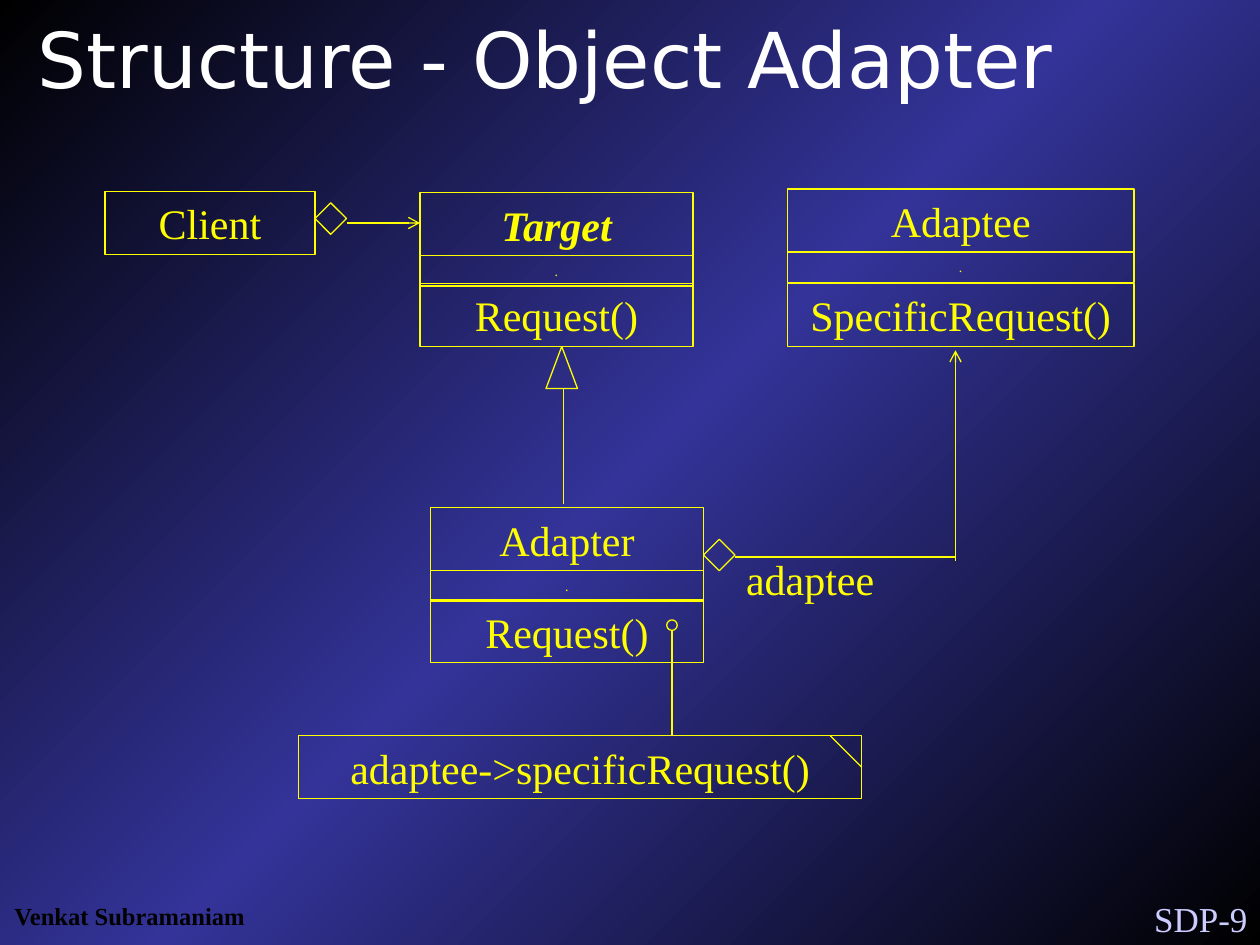
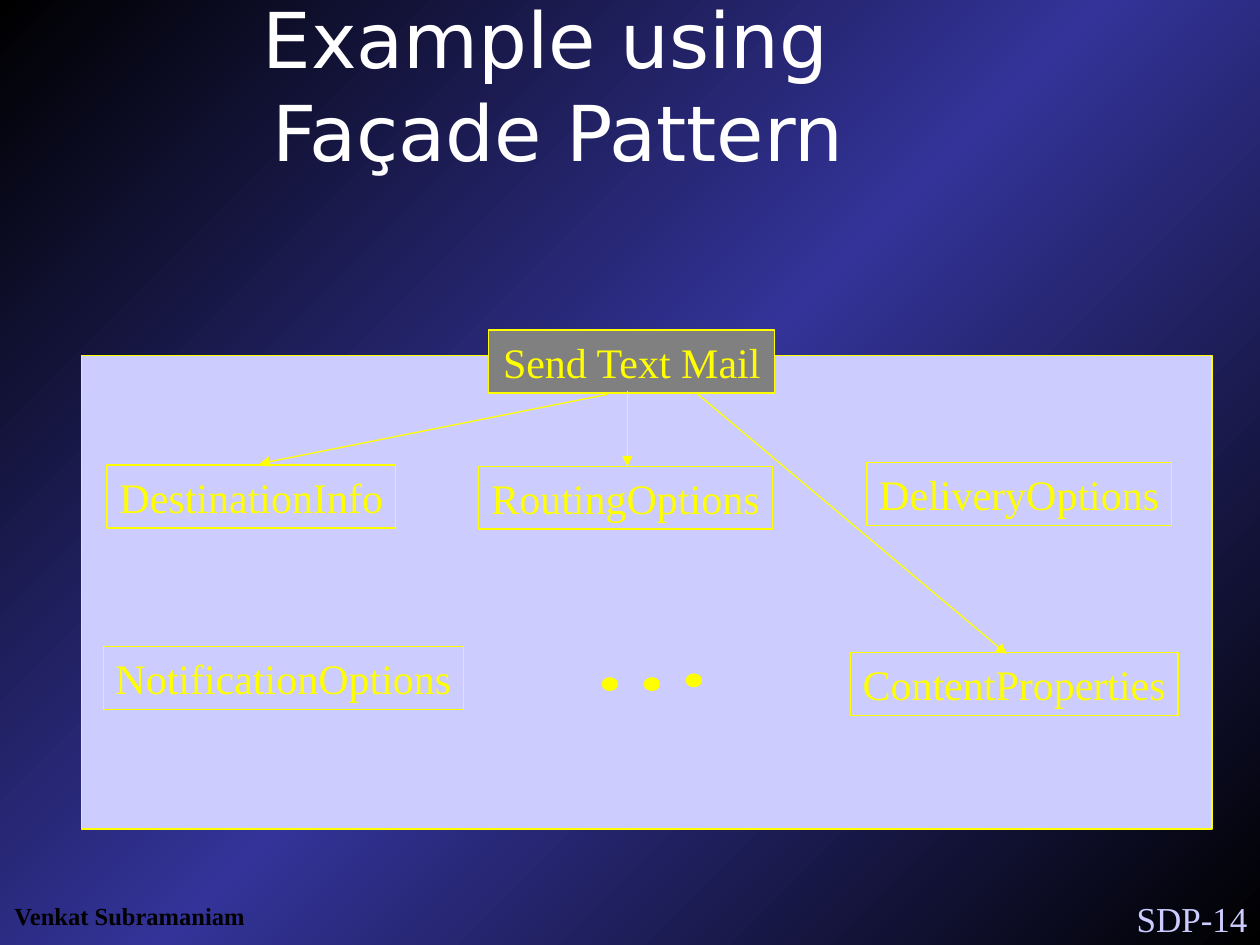
"""Build two design-pattern slides: an object adapter diagram and a facade example."""
from collections import namedtuple
from copy import deepcopy

from lxml import etree
from pptx import Presentation
from pptx.dml.color import RGBColor
from pptx.enum.shapes import MSO_CONNECTOR, MSO_SHAPE
from pptx.enum.text import MSO_ANCHOR, PP_ALIGN
from pptx.oxml.ns import qn
from pptx.util import Inches, Pt

RECTANGLE, DIAMOND = MSO_SHAPE.RECTANGLE, MSO_SHAPE.DIAMOND
TRIANGLE, OVAL = MSO_SHAPE.ISOSCELES_TRIANGLE, MSO_SHAPE.OVAL
STRAIGHT = MSO_CONNECTOR.STRAIGHT
TOP, MIDDLE = MSO_ANCHOR.TOP, MSO_ANCHOR.MIDDLE
CENTER, RIGHT = PP_ALIGN.CENTER, PP_ALIGN.RIGHT

COLORS = {
    "black": "000000",
    "blue": "333399",
    "title": "FFFFFF",
    "pale": "CCCCFF",
    "accent": "FFFF00",
    "facade": "808080",
}
BODY_FONT, TITLE_FONT = "Times New Roman", "DejaVu Sans"
COLUMNS, ROWS, CELL = 120, 90, Inches(1) / 12
LINE_WIDTH = Pt(0.74)
ROW_HEIGHT, SPACER_HEIGHT = 6, 2.88


class Box(namedtuple("Box", "left top width height")):
    """A rectangle measured in grid columns and rows."""

    def inner(self, left, top, width, height):
        """Return a box placed relative to this one."""
        return Box(self.left + left, self.top + top, width, height)

    def lengths(self):
        """Return the four measures as slide lengths."""
        return [grid(value) for value in self]


def grid(cells):
    """Convert grid cells to a slide length."""
    return round(cells * CELL)


def color(name):
    """Return a named colour."""
    return RGBColor.from_string(COLORS[name])


def write(shape, text, size=24, font=BODY_FONT, ink="accent", align=CENTER,
          anchor=MIDDLE, wrap=True, bold=False, italic=False):
    """Put formatted text into a shape."""
    frame = shape.text_frame
    frame.text = text
    frame.word_wrap = wrap
    frame.vertical_anchor = anchor
    for paragraph in frame.paragraphs:
        paragraph.alignment = align
        for run in paragraph.runs:
            run.font.name = font
            run.font.size = Pt(size)
            run.font.bold = bold
            run.font.italic = italic
            run.font.color.rgb = color(ink)


def add_label(slide, box, text, **style):
    """Add a text box."""
    write(slide.shapes.add_textbox(*box.lengths()), text, **style)


def add_figure(slide, kind, box, fill=None):
    """Add an outlined preset shape, hollow unless a fill is named."""
    shape = slide.shapes.add_shape(kind, *box.lengths())
    shape.shadow.inherit = False
    shape.line.color.rgb = color("accent")
    shape.line.width = LINE_WIDTH
    if fill:
        shape.fill.solid()
        shape.fill.fore_color.rgb = color(fill)
    else:
        shape.fill.background()
    return shape


def add_text_figure(slide, box, text, fill=None, **style):
    """Add an outlined rectangle with text."""
    write(add_figure(slide, RECTANGLE, box, fill), text, **style)


def add_line(slide, box, start, end, head=None):
    """Draw a line between two points given relative to a box."""
    points = [grid(value) for point in (start, end)
              for value in (box.left + point[0], box.top + point[1])]
    connector = slide.shapes.add_connector(STRAIGHT, *points)
    connector.line.color.rgb = color("accent")
    connector.line.width = LINE_WIDTH
    properties = connector.element.spPr
    if head:
        etree.SubElement(properties.find(qn("a:ln")), qn("a:tailEnd"), type=head)
    etree.SubElement(properties, qn("a:effectLst"))


def paint_background(slide):
    """Fill the slide with a diagonal black, blue, black gradient."""
    fill = slide.background.fill
    fill.gradient()
    fill.gradient_angle = 135
    stop_list = slide.element.find(".//" + qn("a:gsLst"))
    stop_list.insert(1, deepcopy(stop_list[0]))
    for stop, position, name in zip(fill.gradient_stops, (0, 0.5, 1),
                                    ("black", "blue", "black")):
        stop.position = position
        stop.color.rgb = color(name)


def add_page(presentation, title, title_box, number):
    """Add a slide with the shared background, footers and title style."""
    slide = presentation.slides.add_slide(presentation.slide_layouts[6])
    paint_background(slide)
    add_label(slide, Box(103, 84.84, 17, 5.28), f"SDP-{number}", size=20,
              ink="pale", align=RIGHT, anchor=TOP)
    add_label(slide, Box(0.12, 85.2, 24.48, 4.08), "Venkat Subramaniam", size=14,
              ink="black", anchor=TOP, wrap=False, bold=True)
    add_label(slide, title_box, title, size=44, font=TITLE_FONT, ink="title")
    return slide


def add_class(slide, box, name, operation, **name_style):
    """Draw a class as name, attribute and operation compartments."""
    add_text_figure(slide, box.inner(0, 0, box.width, ROW_HEIGHT), name, **name_style)
    add_text_figure(slide, box.inner(0, box.height - ROW_HEIGHT, box.width, ROW_HEIGHT),
                    operation)
    add_text_figure(slide, box.inner(0, ROW_HEIGHT, box.width, SPACER_HEIGHT), ".", size=8)


def add_note(slide, box, text):
    """Draw a note with a folded corner."""
    add_text_figure(slide, box, text)
    add_line(slide, box, (box.width - 3, 0), (box.width, 3))


def add_adapter_diagram(slide, box):
    """Draw the object adapter class diagram."""
    add_text_figure(slide, box.inner(0, 0.24, 20, ROW_HEIGHT), "Client")
    add_class(slide, box.inner(30, 0.36, 26, 14.64), "Target", "Request()",
              bold=True, italic=True)
    add_class(slide, box.inner(31, 30.36, 26, 14.76), "Adapter", "Request()")
    add_class(slide, box.inner(65, 0, 33, 15), "Adaptee", "SpecificRequest()")
    add_note(slide, box.inner(18.44, 52.08, 53.64, ROW_HEIGHT), "adaptee->specificRequest()")
    for kind, place in (
        (DIAMOND, (20, 1.32, 3, 3)),
        (DIAMOND, (57, 33.36, 3, 3)),
        (TRIANGLE, (42, 15, 3, 4)),
        (OVAL, (53.5, 41.04, 1, 1)),
    ):
        add_figure(slide, kind, box.inner(*place))
    for start, end, head in (
        ((23, 3.24), (30, 3.24), "arrow"),
        ((43.64, 30), (43.64, 19), None),
        ((54, 42.08), (54, 52.08), None),
        ((60, 35.04), (81, 35.04), None),
        ((81, 35.4), (81, 15.36), "arrow"),
    ):
        add_line(slide, box, start, end, head)
    add_label(slide, box.inner(59.84, 34.08, 14.64, ROW_HEIGHT), "adaptee", wrap=False)


def add_facade_panel(slide, box):
    """Draw the facade on the edge of a panel of subsystem classes."""
    add_figure(slide, RECTANGLE, box, "pale")
    for text, left, top, width, fill in (
        ("Send Text Mail", 38.76, -2.4, 27.24, "facade"),
        ("DestinationInfo", 2.4, 10.44, 27.48, None),
        ("RoutingOptions", 37.8, 10.56, 27.96, None),
        ("DeliveryOptions", 74.76, 10.2, 29.04, None),
        ("NotificationOptions", 2.04, 27.72, 34.32, None),
        ("ContentProperties", 73.2, 28.32, 31.2, None),
    ):
        add_text_figure(slide, box.inner(left, top, width, ROW_HEIGHT), text, fill,
                        wrap=False)
    for index, top in enumerate((30.72, 30.72, 30.36)):
        add_figure(slide, OVAL, box.inner(49.56 + 4 * index, top, 1.44, 1.2), "accent")
    for start, end in (
        ((50.04, 3.72), (16.92, 10.32)),
        ((51.96, 3.36), (51.96, 10.56)),
        ((58.68, 3.72), (88.08, 28.44)),
    ):
        add_line(slide, box, start, end, "triangle")


def main():
    """Build and save the presentation."""
    presentation = Presentation()
    presentation.slide_width = grid(COLUMNS)
    presentation.slide_height = grid(ROWS)
    adapter = add_page(presentation, "Structure - Object Adapter", Box(1, 1, 102, 9), 9)
    add_adapter_diagram(adapter, Box(10, 18, 98, 58.08))
    facade = add_page(presentation, "Example using\v Façade Pattern", Box(1, 4, 102, 8), 14)
    add_facade_panel(facade, Box(7.8, 33.84, 107.64, 45.12))
    presentation.save("out.pptx")


main()
